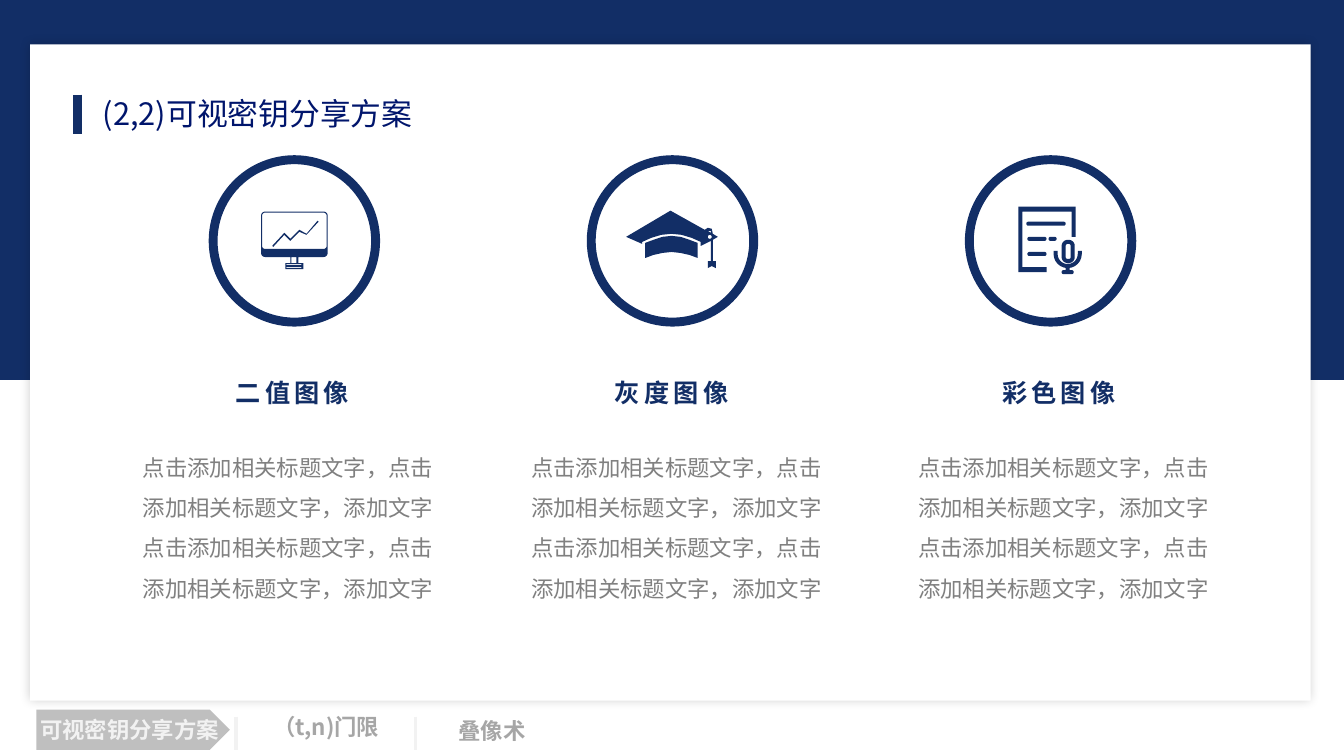
"""Build the slide on the (2,2) visual secret sharing scheme."""
from math import cos, radians, sin

from lxml import etree
from pptx import Presentation
from pptx.dml.color import RGBColor
from pptx.enum import shapes as kinds, text as txt
from pptx.oxml import ns
from pptx.util import Inches, Pt

FONT = "Noto Sans CJK SC"
NAVY, GREY, PALE = "122E66", "A6A6A6", "F2F2F2"
TITLE = "(2,2)可视密钥分享方案"
BODY = ["点击添加相关标题文字，点击添加相关标题文字，添加文字"] * 2
HEADS = [("二值图像", 2.24, 1.5), ("灰度图像", 6, 1.58), ("彩色图像", 9.84, 1.58)]
BODY_X = [1.32, 5.17, 9.01]
TABS = [("（t,n)门限", 2.61, 7.03, 1.39, GREY, True),
        ("叠像术", 4.45, 7.07, 0.87, GREY, False),
        ("可视密钥分享方案", 0.3, 7.06, 2.01, PALE, True)]
RULES = [(0.77, 0.94, 1.33, NAVY, 6.25), (2.34, 7.11, 7.44, PALE, 2.5),
         (4.12, 7.11, 7.44, PALE, 2.5)]


def arc(x, y, r, start, end):
    turns = [radians(start + (end - start) * i / 12) for i in range(13)]
    return [(x + r * cos(t), y + r * sin(t)) for t in turns]


def pill(x, y, w, h, r):
    return (arc(x + r, y + r, r, 180, 270) + arc(x + w - r, y + r, r, 270, 360)
            + arc(x + w - r, y + h - r, r, 0, 90) + arc(x + r, y + h - r, r, 90, 180))


def box(x, y, w, h):
    return [(x, y), (x + w, y), (x + w, y + h), (x, y + h)]


TREND = [(2.7, 2.44), (2.82, 2.31), (2.88, 2.37), (2.97, 2.28), (3.04, 2.32), (3.15, 2.19),
         (3.16, 2.2), (3.04, 2.33), (2.97, 2.3), (2.88, 2.39), (2.82, 2.33), (2.71, 2.45)]
SCREEN = [pill(2.59, 2.1, 0.66, 0.45, 0.04), pill(2.6, 2.11, 0.64, 0.36, 0.03), TREND,
          box(2.88, 2.55, 0.08, 0.06), box(2.89, 2.55, 0.05, 0.06),
          box(2.83, 2.61, 0.18, 0.06), box(2.84, 2.62, 0.15, 0.01),
          box(2.84, 2.65, 0.15, 0.01)]
BAND = [(6.4, 2.41), (6.48, 2.38), (6.57, 2.35), (6.66, 2.34), (6.75, 2.35), (6.84, 2.38),
        (6.92, 2.41), (6.92, 2.56), (6.84, 2.53), (6.75, 2.51), (6.66, 2.5), (6.57, 2.51),
        (6.48, 2.53), (6.4, 2.56)]
BOARD = [(6.65, 2.09), (6.99, 2.28), (7.02, 2.26), (7.06, 2.27), (7.07, 2.32), (7.12, 2.35),
         (7.07, 2.38), (7.07, 2.59), (7.1, 2.59), (7.1, 2.66), (7.06, 2.64), (7.02, 2.66),
         (7.02, 2.59), (7.05, 2.59), (7.05, 2.39), (6.95, 2.44), (6.95, 2.4), (6.86, 2.36),
         (6.76, 2.33), (6.66, 2.32), (6.56, 2.33), (6.46, 2.36), (6.37, 2.4), (6.37, 2.42),
         (6.21, 2.35)]
CAP = [BAND, BOARD, arc(7.04, 2.35, 0.02, 0, 360), [(7.02, 2.29), (7.05, 2.29), (7.05, 2.31)]]
PAGE = [(10.1, 2.05), (10.67, 2.05), (10.67, 2.35), (10.63, 2.35), (10.63, 2.1), (10.14, 2.1),
        (10.14, 2.65), (10.38, 2.65), (10.38, 2.7), (10.1, 2.7)]
BARS = [(10.18, 2.2, 0.39), (10.19, 2.35, 0.19), (10.19, 2.5, 0.19), (10.4, 2.35, 0.08)]
CRADLE = ([(10.73, 2.49)] + arc(10.59, 2.52, 0.14, 0, 180) + [(10.45, 2.49), (10.49, 2.49)]
          + arc(10.59, 2.52, 0.1, 180, 0) + [(10.69, 2.49)])
MIC = [PAGE, *[pill(x, y, w, 0.04, 0.02) for x, y, w in BARS], CRADLE,
       pill(10.53, 2.38, 0.13, 0.23, 0.06), pill(10.57, 2.42, 0.05, 0.15, 0.02),
       box(10.57, 2.66, 0.04, 0.02), pill(10.53, 2.68, 0.12, 0.04, 0.02)]
ICONS = [SCREEN, CAP, MIC]


def rgb(code):
    return RGBColor.from_string(code)


def paint(shape, color):
    shape.fill.solid()
    shape.fill.fore_color.rgb = rgb(color)
    shape.line.fill.background()
    shape.shadow.inherit = False
    return shape


def block(slide, kind, x, y, w, h, color):
    spot = map(Inches, (x, y, w, h))
    return paint(slide.shapes.add_shape(kind, *spot), color)


def write(shape, lines, size, color, bold=False, gap=None, space=None, wrap=True):
    frame = shape.text_frame
    frame.text = "\n".join(lines)
    frame.word_wrap = wrap
    frame.auto_size = txt.MSO_AUTO_SIZE.NONE
    frame.vertical_anchor = txt.MSO_ANCHOR.TOP
    for para in frame.paragraphs:
        para.alignment = txt.PP_ALIGN.LEFT
        para.line_spacing = gap
        font = para.font
        font.name, font.size, font.bold = FONT, Pt(size), bold
        font.color.rgb = rgb(color)
        props = para._p.pPr.find(ns.qn("a:defRPr"))
        etree.SubElement(props, ns.qn("a:ea"), typeface=FONT)
        if space:
            props.set("spc", str(space * 100))


def label(slide, lines, x, y, w, h, *args, **style):
    write(slide.shapes.add_textbox(*map(Inches, (x, y, w, h))), lines, *args, **style)


def trace(slide, loops):
    loops = [[(Inches(x), Inches(y)) for x, y in loop] for loop in loops]
    pen = slide.shapes.build_freeform(*loops[0][0])
    for i, loop in enumerate(loops):
        if i:
            pen.move_to(*loop[0])
        pen.add_line_segments(loop[1:], close=True)
    paint(pen.convert_to_shape(), NAVY)


def rule(slide, x, top, end, color, width):
    line = slide.shapes.add_connector(
        kinds.MSO_CONNECTOR.STRAIGHT, *map(Inches, (x, top, x, end)))
    line.line.color.rgb = rgb(color)
    line.line.width = Pt(width)
    etree.SubElement(line._element.spPr, ns.qn("a:effectLst"))


def glow(shape):
    effects = shape._element.spPr.find(ns.qn("a:effectLst"))
    cast = etree.SubElement(effects, ns.qn("a:outerShdw"), blurRad=str(Pt(8)), dist="0",
                            dir="0", algn="ctr", rotWithShape="0")
    tint = etree.SubElement(cast, ns.qn("a:srgbClr"), val="000000")
    etree.SubElement(tint, ns.qn("a:alpha"), val="20000")


def main():
    deck = Presentation()
    deck.slide_width, deck.slide_height = Inches(13.33), Inches(7.5)
    slide = deck.slides.add_slide(deck.slide_layouts[5])
    kind = kinds.MSO_SHAPE
    block(slide, kind.RECTANGLE, 0, 0, 13.33, 3.77, NAVY)
    glow(block(slide, kind.RECTANGLE, 0.3, 0.44, 12.7, 6.51, "FFFFFF"))
    for i, (head, x, w) in enumerate(HEADS):
        ring = block(slide, kind.DONUT, 2.07 + 3.75 * i, 1.54, 1.7, 1.7, NAVY)
        ring.adjustments[0] = 0.052
        trace(slide, ICONS[i])
        label(slide, [head], x, 3.54, w, 0.51, 18, NAVY, bold=True, gap=1.5, space=3)
        label(slide, BODY, BODY_X[i], 4.32, 3.2, 1.67, 16, "808080", gap=1.5)
    title = slide.shapes.title
    title.left, title.top, title.width, title.height = map(Inches, (0.92, 0.89, 4.04, 0.47))
    write(title, [TITLE], 22, "00156C")
    slide.shapes._spTree.append(title._element)
    block(slide, kind.PENTAGON, 0.36, 7.04, 1.92, 0.4, "BFBFBF")
    for name, x, y, w, color, wrap in TABS:
        label(slide, [name], x, y, w, 0.37, 16, color, bold=True, wrap=wrap)
    for spot in RULES:
        rule(slide, *spot)
    deck.save("out.pptx")


if __name__ == "__main__":
    main()
